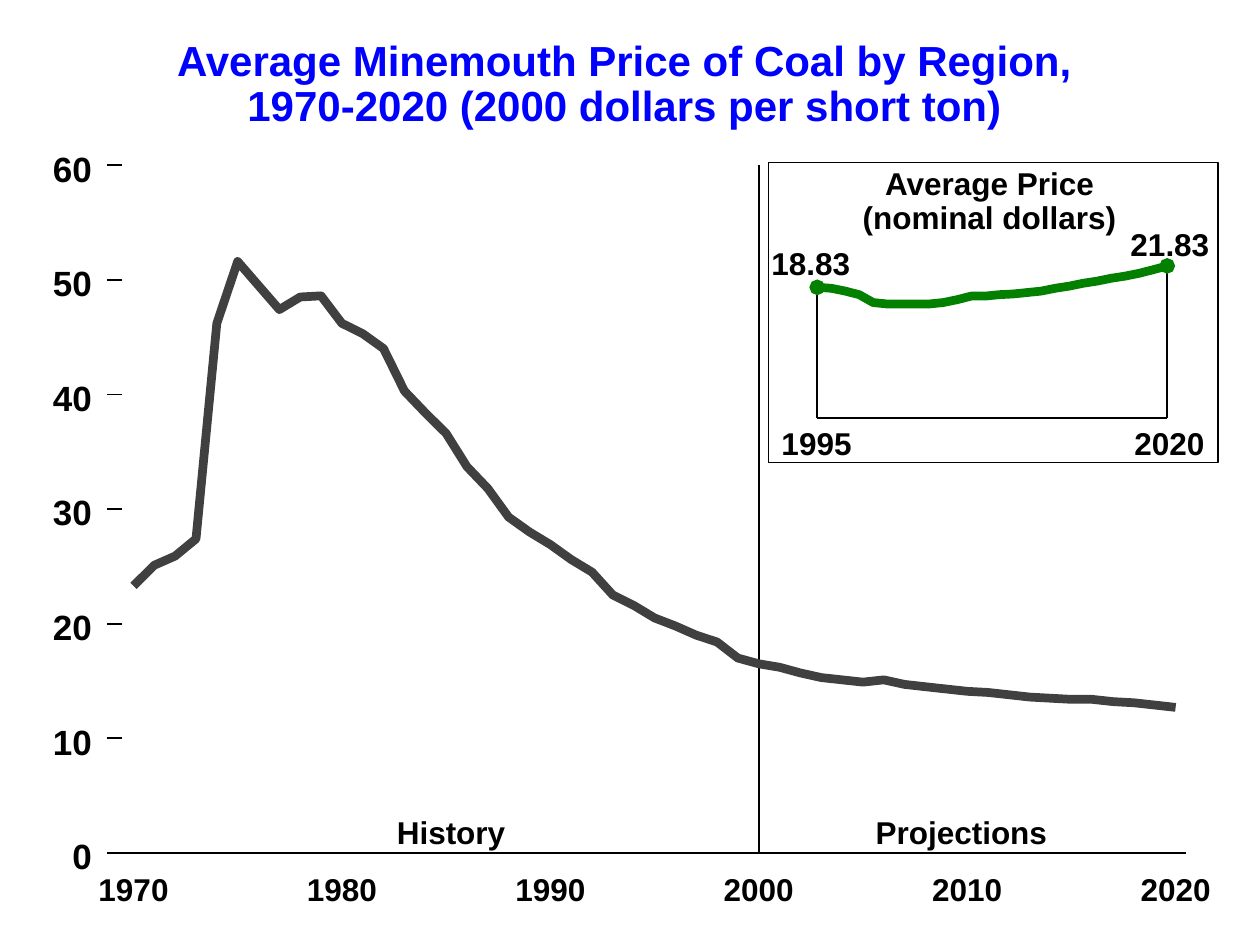
from math import cos, pi, sin

from lxml import etree
from pptx import Presentation
from pptx.dml.color import RGBColor
from pptx.enum.shapes import MSO_CONNECTOR, MSO_SHAPE
from pptx.enum.text import MSO_AUTO_SIZE, PP_ALIGN
from pptx.oxml.ns import qn
from pptx.util import Pt

STRAIGHT = MSO_CONNECTOR.STRAIGHT
RECTANGLE = MSO_SHAPE.RECTANGLE
GROW = MSO_AUTO_SIZE.SHAPE_TO_FIT_TEXT
CENTER, RIGHT = PP_ALIGN.CENTER, PP_ALIGN.RIGHT

COLORS = {"black": "000000", "title": "0000FF", "price": "404040", "inset": "048000"}

# Content: one price per year
PRICES = [
    23.3, 25.1, 25.9, 27.4, 46.2, 51.6, 49.5, 47.4, 48.5, 48.6,
    46.2, 45.3, 44.0, 40.3, 38.4, 36.6, 33.7, 31.8, 29.3, 28.0,
    26.9, 25.6, 24.5, 22.5, 21.6, 20.5, 19.8, 19.0, 18.4, 17.0,
    16.5, 16.2, 15.7, 15.3, 15.1, 14.9, 15.1, 14.7, 14.5, 14.3,
    14.1, 14.0, 13.8, 13.6, 13.5, 13.4, 13.4, 13.2, 13.1, 12.9, 12.7,
]
NOMINAL_PRICES = [
    18.83, 18.7, 18.3, 17.8, 16.7, 16.5, 16.5, 16.5, 16.5, 16.7, 17.1, 17.6, 17.6,
    17.8, 17.9, 18.1, 18.3, 18.7, 19.0, 19.4, 19.7, 20.1, 20.4, 20.8, 21.3, 21.83,
]
TITLE = ["Average Minemouth Price of Coal by Region,",
         "1970-2020 (2000 dollars per short ton)"]
INSET_TITLE = ["Average Price", "(nominal dollars)"]
# Text, center, top, width
LABELS = [
    ("History", 257.8, 464.4, 66),
    ("Projections", 549.4, 464.4, 102),
    ("18.83", 463.3, 139.3, 48),
    ("21.83", 668.5, 128.5, 48),
    ("1995", 466.6, 242.2, 44),
    ("2020", 668.2, 242.2, 44),
]

# Scales, in points
FIRST_YEAR, LAST_YEAR, SPLIT_YEAR = 1970, 2020, 2000
AXIS_Y, AXIS_TOP, DOLLAR = 487.4, 94.3, 6.55
YEAR_X, YEAR_STEP = 76.3, 11.91
TICK_LEFT, AXIS_LEFT, AXIS_RIGHT = 61.2, 69.8, 677.5
INSET_X, INSET_STEP, INSET_AXIS_Y = 467, 8, 239
INSET_START_Y, INSET_DOLLAR = 164.2, 4.08
MARKER_RADIUS = 4.5

presentation = Presentation()
presentation.slide_width, presentation.slide_height = Pt(720), Pt(540)
slide = presentation.slides.add_slide(presentation.slide_layouts[6])
shapes = slide.shapes


def color(name):
    return RGBColor.from_string(COLORS[name])


def year_x(year):
    return YEAR_X + (year - FIRST_YEAR) * YEAR_STEP


def price_y(price):
    return AXIS_Y - price * DOLLAR


def nominal_y(price):
    return INSET_START_Y - (price - NOMINAL_PRICES[0]) * INSET_DOLLAR


def add_text(lines, center, top, width, height=21.6, size=18,
             name="black", align=CENTER, spacing=None):
    box = shapes.add_textbox(Pt(center - width / 2), Pt(top), Pt(width), Pt(height))
    frame = box.text_frame
    frame_format = {"margin_left": 0, "margin_right": 0, "margin_top": 0,
                    "margin_bottom": 0, "word_wrap": False, "auto_size": GROW}
    for key, value in frame_format.items():
        setattr(frame, key, value)
    frame.text = "\n".join(lines)
    for paragraph in frame.paragraphs:
        paragraph.alignment, paragraph.line_spacing = align, spacing
        for key, value in {"name": "Arial", "size": Pt(size), "bold": True}.items():
            setattr(paragraph.font, key, value)
        paragraph.font.color.rgb = color(name)


def add_line(x1, y1, x2, y2):
    line = shapes.add_connector(STRAIGHT, Pt(x1), Pt(y1), Pt(x2), Pt(y2))
    line.line.color.rgb, line.line.width = color("black"), Pt(1)
    etree.SubElement(line._element.spPr, qn("a:effectLst"))


def add_outline(points, name, filled=False):
    points = [(Pt(x), Pt(y)) for x, y in points]
    builder = shapes.build_freeform(*points[0], scale=1.0)
    builder.add_line_segments(points[1:], close=filled)
    shape = builder.convert_to_shape()
    shape.shadow.inherit = False
    if filled:
        shape.fill.solid()
        shape.fill.fore_color.rgb = color(name)
        shape.line.fill.background()
    else:
        shape.fill.background()
        shape.line.color.rgb, shape.line.width = color(name), Pt(5)


# Inset frame and the line between history and projections
frame_box = shapes.add_shape(RECTANGLE, Pt(439.2), Pt(92.9), Pt(257), Pt(171.4))
frame_box.shadow.inherit = False
frame_box.fill.background()
frame_box.line.color.rgb, frame_box.line.width = color("black"), Pt(1)
add_line(year_x(SPLIT_YEAR), AXIS_TOP, year_x(SPLIT_YEAR), AXIS_Y)

# Main price curve
add_outline([(year_x(FIRST_YEAR + index), price_y(price))
             for index, price in enumerate(PRICES)], "price")

# Axes with ticks and labels
for dollars in range(0, 61, 10):
    y = price_y(dollars)
    add_line(TICK_LEFT, y, AXIS_LEFT, y)
    add_text([str(dollars)], 40.5, y - 10.4, 24, 24, size=20, align=RIGHT)
add_line(AXIS_LEFT, AXIS_Y, AXIS_RIGHT, AXIS_Y)
for year in range(FIRST_YEAR, LAST_YEAR + 1, 10):
    add_text([str(year)], year_x(year), 497.2, 44)

# Inset curve, base line, drop lines and end markers
inset_points = [(INSET_X + index * INSET_STEP, nominal_y(price))
                for index, price in enumerate(NOMINAL_PRICES)]
add_outline(inset_points, "inset")
add_line(INSET_X, INSET_AXIS_Y, inset_points[-1][0], INSET_AXIS_Y)
for x, y in (inset_points[0], inset_points[-1]):
    add_line(x, INSET_AXIS_Y, x, y)
    add_outline([(x + MARKER_RADIUS * cos(step * pi / 4),
                  y + MARKER_RADIUS * sin(step * pi / 4)) for step in range(8)],
                "inset", filled=True)

# Titles and labels
for text, center, top, width in LABELS:
    add_text([text], center, top, width)
add_text(INSET_TITLE, 565.5, 96.2, 152, 38.9, spacing=0.9)
add_text(TITLE, 356.8, 23, 520, 51.8, size=24, name="title", spacing=0.9)

presentation.save("out.pptx")
